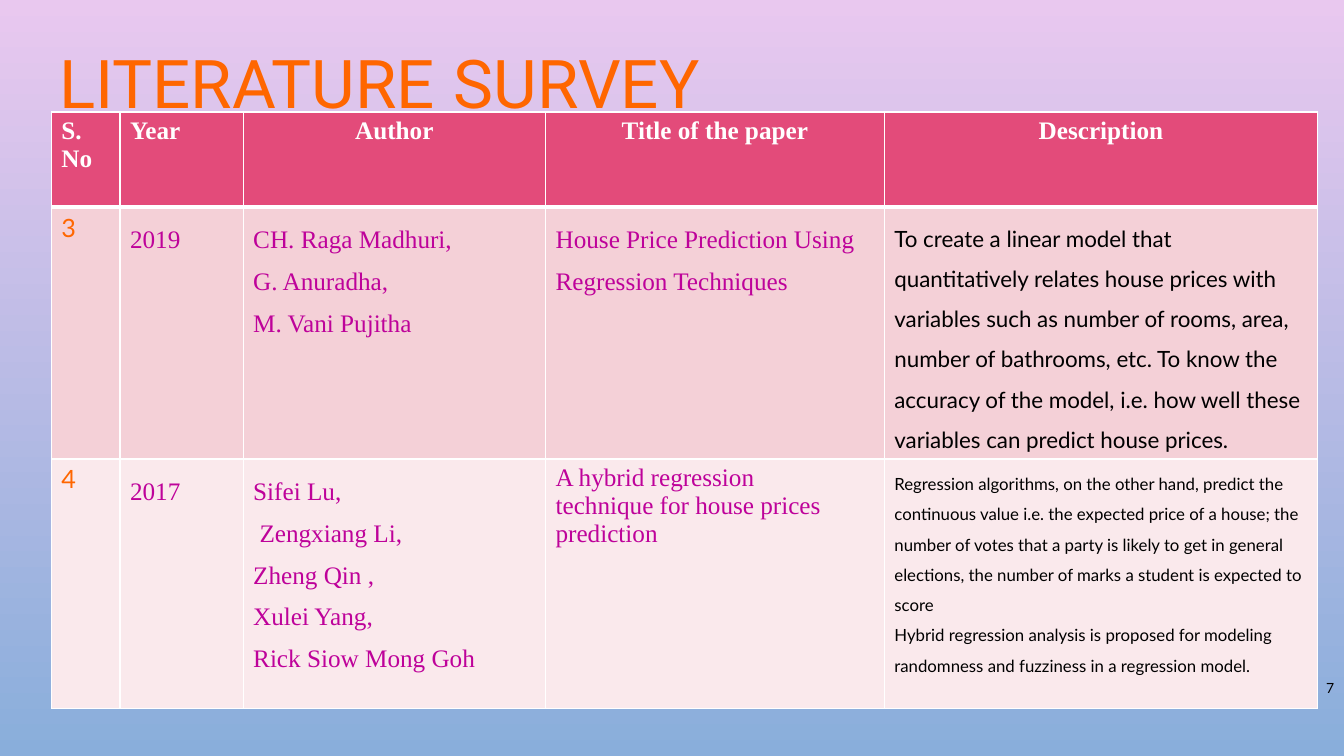
from dataclasses import dataclass

from lxml.etree import SubElement
from pptx import Presentation
from pptx.dml.color import RGBColor
from pptx.enum.text import MSO_ANCHOR, MSO_AUTO_SIZE, PP_ALIGN
from pptx.oxml.ns import qn
from pptx.util import Pt

TITLE = [("LITERATURE", 48), (" ", 54), ("SURVEY", 48)]
PAGE_NUMBER = "7"
HEADERS = ["S. No", "Year", "Author", "Title of the paper", "Description"]
PAPERS = [
    (
        ["3"],
        ["2019"],
        ["CH. Raga Madhuri,", "G. Anuradha,", "M. Vani Pujitha"],
        ["House Price Prediction Using Regression Techniques"],
        ["To create a linear model that quantitatively relates house prices with "
         "variables such as number of rooms, area, number of bathrooms, etc. "
         "To know the accuracy of the model, i.e. how well these variables can "
         "predict house prices."],
    ),
    (
        ["4"],
        ["2017"],
        ["Sifei Lu,", " Zengxiang Li,", "Zheng Qin ,", "Xulei Yang,", "Rick Siow Mong Goh"],
        ["A hybrid regression", "technique for house prices prediction"],
        ["Regression algorithms, on the other hand, predict the continuous value "
         "i.e. the expected price of a house; the number of votes that a party is "
         "likely to get in general elections, the number of marks a student is "
         "expected to score",
         "Hybrid regression analysis is proposed for modeling randomness and "
         "fuzziness in a regression model."],
    ),
]
COLUMN_WIDTHS = [49, 88, 216, 242, 309.5]
ROW_HEIGHTS = [68, 179, 178]


@dataclass(frozen=True)
class Theme:
    sky_top: str = "E9C8EF"
    sky_bottom: str = "89AEDB"
    orange: str = "FF6600"
    magenta: str = "BE029A"
    black: str = "000000"
    white: str = "FFFFFF"
    header_fill: str = "E34B7A"
    row_fills: tuple = ("F4D0D7", "FAE9EC")
    title_font: str = "Roboto"
    sans: str = "Lato"
    serif: str = "Times New Roman"
    body_size: int = 18
    description_sizes: tuple = (16, 12)
    page_size: int = 10


THEME = Theme()


def write_text(paragraph, text, font=THEME.serif, size=THEME.body_size, color=THEME.magenta,
               bold=False, align=PP_ALIGN.LEFT, spacing=1.0):
    paragraph.alignment = align
    paragraph.line_spacing = spacing
    run = paragraph.add_run()
    run.text = text
    run.font.name = font
    run.font.size = Pt(size)
    run.font.bold = bold
    run.font.color.rgb = RGBColor.from_string(color)


def fill_cell(cell, lines, fill, bottom_width=1, **text_format):
    frame = cell.text_frame
    for index, line in enumerate(lines):
        paragraph = frame.add_paragraph() if index else frame.paragraphs[0]
        write_text(paragraph, line, **text_format)
    properties = cell._tc.get_or_add_tcPr()
    for side in ("L", "R", "T", "B"):
        width = bottom_width if side == "B" else 1
        border = SubElement(properties, qn(f"a:ln{side}"), w=str(Pt(width)))
        solid = SubElement(border, qn("a:solidFill"))
        SubElement(solid, qn("a:srgbClr"), val=THEME.white)
    cell.fill.solid()
    cell.fill.fore_color.rgb = RGBColor.from_string(fill)


def paint_background(slide):
    fill = slide.background.fill
    fill.gradient()
    fill.gradient_angle = 270
    for stop, color, position in zip(fill.gradient_stops, (THEME.sky_top, THEME.sky_bottom), (0, 1)):
        stop.color.rgb = RGBColor.from_string(color)
        stop.position = position


def add_title(slide):
    title = slide.shapes.title
    title.left, title.top, title.width, title.height = Pt(36.7), Pt(24.5), Pt(546), Pt(55.5)
    frame = title.text_frame
    frame.auto_size = MSO_AUTO_SIZE.NONE
    frame.vertical_anchor = MSO_ANCHOR.TOP
    frame.margin_left, frame.margin_top = Pt(5.5), Pt(6.5)
    for text, size in TITLE:
        write_text(frame.paragraphs[0], text, font=THEME.title_font, size=size,
                   color=THEME.orange, spacing=0.9)


def add_survey_table(slide):
    table = slide.shapes.add_table(
        len(ROW_HEIGHTS), len(COLUMN_WIDTHS), Pt(36.7), Pt(80),
        Pt(sum(COLUMN_WIDTHS)), Pt(sum(ROW_HEIGHTS))).table
    for column, width in zip(table.columns, COLUMN_WIDTHS):
        column.width = Pt(width)
    for row, height in zip(table.rows, ROW_HEIGHTS):
        row.height = Pt(height)
    for index, header in enumerate(HEADERS):
        fill_cell(table.cell(0, index), [header], THEME.header_fill, bottom_width=3,
                  color=THEME.white, bold=True,
                  align=PP_ALIGN.CENTER if index > 1 else PP_ALIGN.LEFT)
    for number, paper in enumerate(PAPERS):
        formats = [
            dict(font=THEME.sans, color=THEME.orange),
            dict(spacing=1.5),
            dict(spacing=1.5),
            dict(spacing=1.0 if len(paper[3]) > 1 else 1.5),
            dict(font=THEME.sans, color=THEME.black, spacing=1.5,
                 size=THEME.description_sizes[number]),
        ]
        for index, (lines, text_format) in enumerate(zip(paper, formats)):
            fill_cell(table.cell(number + 1, index), lines, THEME.row_fills[number], **text_format)


def add_page_number(slide):
    frame = slide.shapes.add_textbox(Pt(770), Pt(478), Pt(190), Pt(26)).text_frame
    frame.word_wrap = True
    frame.vertical_anchor = MSO_ANCHOR.MIDDLE
    write_text(frame.paragraphs[0], PAGE_NUMBER, font=THEME.sans, size=THEME.page_size,
               color=THEME.black, align=PP_ALIGN.RIGHT)


def main():
    presentation = Presentation()
    presentation.slide_width, presentation.slide_height = Pt(960), Pt(540)
    slide = presentation.slides.add_slide(presentation.slide_layouts[5])
    paint_background(slide)
    add_title(slide)
    add_page_number(slide)
    add_survey_table(slide)
    presentation.save("out.pptx")


if __name__ == "__main__":
    main()
